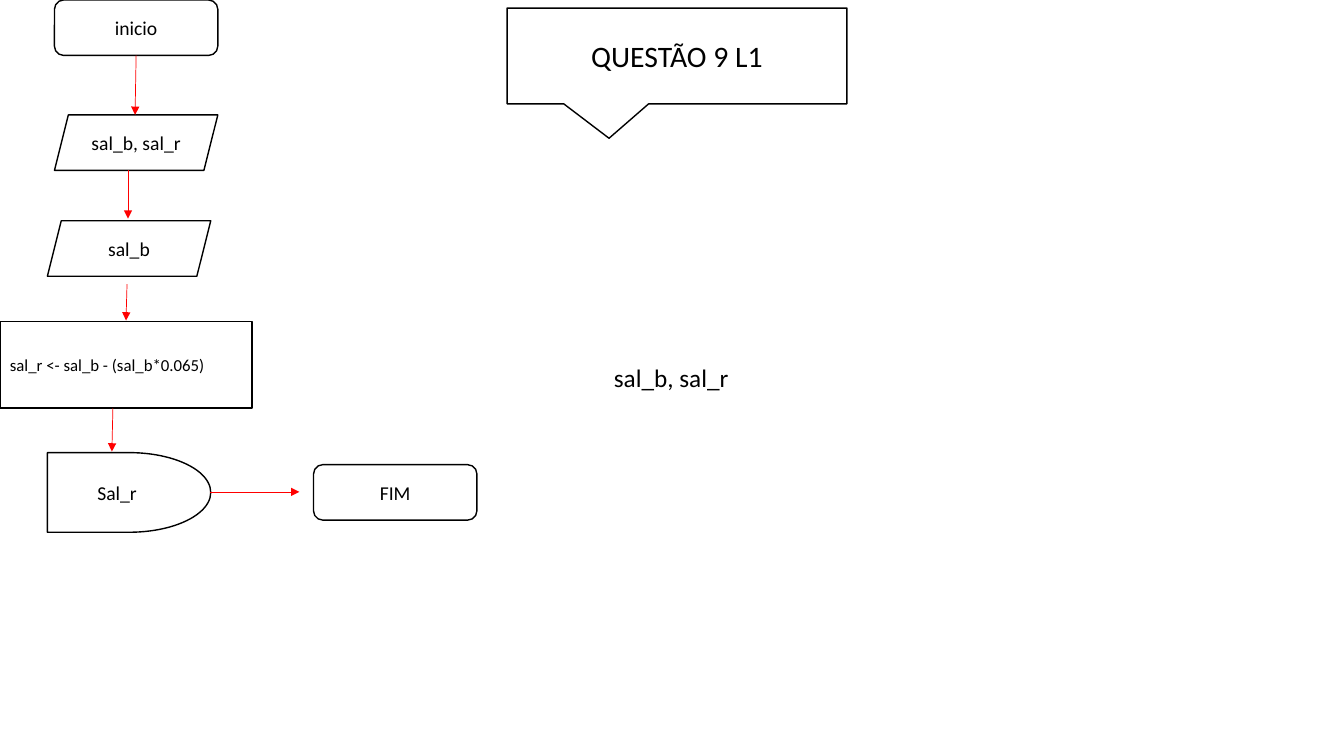
from pptx import Presentation
from pptx.dml.color import RGBColor
from pptx.enum.shapes import MSO_CONNECTOR, MSO_SHAPE
from pptx.enum.text import MSO_ANCHOR, MSO_AUTO_SIZE, PP_ALIGN
from pptx.oxml.ns import qn
from pptx.util import Inches, Pt
from lxml.etree import SubElement

BLACK, WHITE, RED = "000000", "FFFFFF", "FF0000"


def color(code):
    return RGBColor.from_string(code)


def write(frame, text, size, align):
    para = frame.paragraphs[0]
    para.text = text
    para.alignment = align
    para.font.size = Pt(size)
    para.font.name = "Calibri"
    para.font.color.rgb = color(BLACK)


def node(slide, kind, box, text, size=14, align=PP_ALIGN.CENTER):
    shape = slide.shapes.add_shape(kind, *map(Inches, box))
    shape.shadow.inherit = False
    shape.fill.solid()
    shape.fill.fore_color.rgb = color(WHITE)
    shape.line.color.rgb = color(BLACK)
    shape.line.width = Pt(1)
    frame = shape.text_frame
    frame.word_wrap = True
    frame.vertical_anchor = MSO_ANCHOR.MIDDLE
    write(frame, text, size, align)
    return shape


def arrow(slide, start, end):
    link = slide.shapes.add_connector(
        MSO_CONNECTOR.STRAIGHT, *map(Inches, start + end))
    link.line.color.rgb = color(RED)
    link.line.width = Pt(0.5)
    SubElement(link.line._get_or_add_ln(), qn("a:tailEnd"), type="triangle")
    SubElement(link._element.spPr, qn("a:effectLst"))


def flow(slide, left, top):
    """Flowchart steps and the arrows that join them."""
    wide, high = 1.62, 0.55
    steps = [
        (MSO_SHAPE.ROUNDED_RECTANGLE, 0.54, 0, wide, high, "inicio"),
        (MSO_SHAPE.PARALLELOGRAM, 0.54, 1.14, wide, high, "sal_b, sal_r"),
        (MSO_SHAPE.PARALLELOGRAM, 0.47, 2.19, wide, high, "sal_b"),
        (MSO_SHAPE.FLOWCHART_DELAY, 0.47, 4.49, wide, 0.79, "Sal_r"),
        (MSO_SHAPE.ROUNDED_RECTANGLE, 3.11, 4.61, wide, high, "FIM"),
    ]
    for kind, x, y, w, h, text in steps:
        node(slide, kind, (left + x, top + y, w, h), text)

    # Formula
    node(slide, MSO_SHAPE.RECTANGLE, (left, top + 3.19, 2.5, 0.86),
         "sal_r <- sal_b - (sal_b*0.065)", 12, PP_ALIGN.JUSTIFY)

    # Arrows
    links = [
        (1.35, 0.55, 1.34, 1.14),
        (1.27, 1.69, 1.27, 2.17),
        (1.26, 2.82, 1.25, 3.18),
        (1.12, 4.05, 1.11, 4.48),
        (2.08, 4.88, 2.97, 4.88),
    ]
    for x1, y1, x2, y2 in links:
        arrow(slide, (left + x1, top + y1), (left + x2, top + y2))


def title(slide, box):
    """Callout that names the exercise."""
    shape = node(slide, MSO_SHAPE.RECTANGULAR_CALLOUT, box,
                 "QUESTÃO 9 L1", 21.2)
    shape.adjustments[0] = -0.2
    shape.adjustments[1] = 0.86


def label(slide, box):
    """Loose list of variables."""
    frame = slide.shapes.add_textbox(*map(Inches, box)).text_frame
    frame.word_wrap = False
    frame.auto_size = MSO_AUTO_SIZE.SHAPE_TO_FIT_TEXT
    write(frame, "sal_b, sal_r", 18, PP_ALIGN.LEFT)


def main():
    deck = Presentation()
    deck.slide_width, deck.slide_height = Inches(13.33), Inches(7.5)
    slide = deck.slides.add_slide(deck.slide_layouts[6])
    flow(slide, 0, 0)
    title(slide, (5.03, 0.08, 3.37, 0.95))
    label(slide, (5.99, 3.55, 1.35, 0.4))
    deck.save("out.pptx")


if __name__ == "__main__":
    main()
